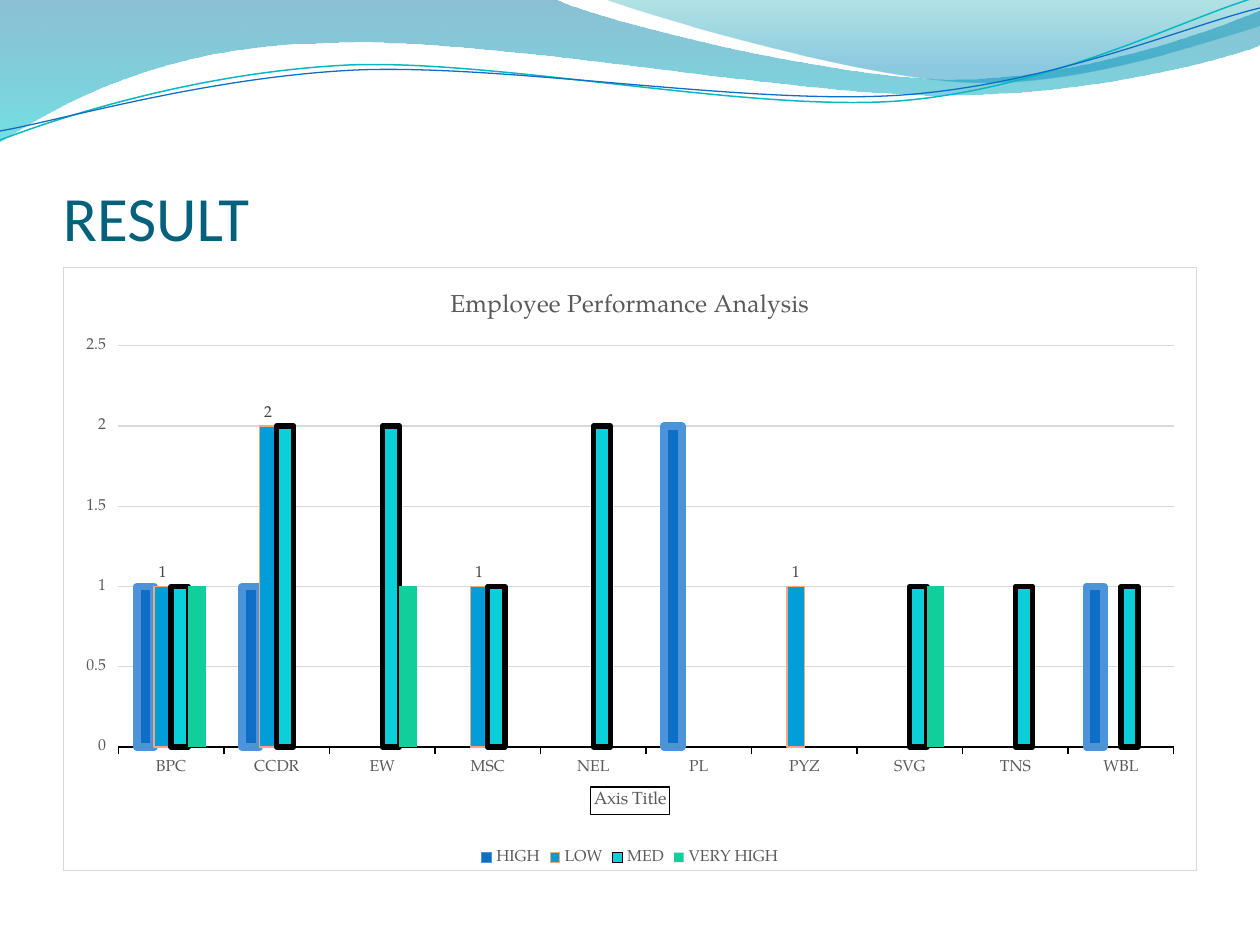
from dataclasses import dataclass
from typing import Optional

from lxml.etree import SubElement
from pptx import Presentation
from pptx.chart.data import CategoryChartData
from pptx.dml.color import RGBColor
from pptx.enum.chart import XL_CHART_TYPE as ChartType
from pptx.enum.chart import XL_LABEL_POSITION as LabelPos
from pptx.enum.chart import XL_LEGEND_POSITION as LegendPos
from pptx.enum.chart import XL_TICK_MARK as Tick
from pptx.enum.text import MSO_ANCHOR as Anchor
from pptx.oxml import parse_xml
from pptx.oxml.ns import nsdecls, qn
from pptx.util import Pt

EMU_PER_PX = 914400 / 126
SERIF = "TeX Gyre Pagella"
GREY = "595959"
PALE = "D9D9D9"
CATEGORIES = ["BPC", "CCDR", "EW", "MSC", "NEL", "PL", "PYZ", "SVG", "TNS", "WBL"]


@dataclass
class Stop:
    position: float
    color: str
    opacity: int


@dataclass
class Wave:
    segments: list[list[tuple[int, int]]]
    stops: Optional[list[Stop]] = None
    line: Optional[tuple[str, float]] = None


@dataclass
class Level:
    name: str
    values: list[Optional[int]]
    color: str
    line: Optional[tuple[str, float]] = None
    labelled: bool = False


WAVES = [
    Wave([[(0, 0)], [(554, -1)],
          [(600, 21), (837, 79), (955, 79)], [(1075, 79), (1207, 33), (1260, 11)],
          [(1261, 45)], [(1239, 55), (1096, 96), (940, 95)],
          [(784, 95), (481, 35), (324, 43)], [(163, 45), (58, 105), (-1, 142)]],
         stops=[Stop(0, "0074A1", 45), Stop(1, "00C6CF", 55)]),
    Wave([[(604, -1)], [(641, 14), (859, 78), (969, 82)],
          [(1079, 87), (1211, 40), (1260, 26)], [(1260, 0)]],
         stops=[Stop(0, "00A1A9", 30), Stop(0.8, "008BBF", 45)]),
    Wave([[(0, 140)], [(60, 117), (199, 72), (349, 65)],
          [(498, 59), (747, 112), (898, 101)], [(1050, 89), (1182, 19), (1257, -3)]],
         line=("0AB8BF", 0.85)),
    Wave([[(0, 131)], [(59, 121), (207, 77), (357, 70)],
          [(508, 64), (752, 106), (903, 95)], [(1053, 84), (1186, 26), (1260, 8)]],
         line=("0F6FC6", 0.75)),
]

LEVELS = [
    Level("HIGH", [1, 1, None, None, None, 2, None, None, None, 1],
          "0F6FC6", ("4D93D9", 4.5)),
    Level("LOW", [1, 2, None, 1, None, None, 1, None, None, None],
          "009DD9", ("F1A983", 0.75), labelled=True),
    Level("MED", [1, 2, 2, 1, 2, None, None, 1, 1, 1], "0BD0D9", ("000000", 3)),
    Level("VERY HIGH", [1, None, 1, None, None, None, None, 1, None, None], "10CF9B"),
]


def px(n: int) -> int:
    return round(n * EMU_PER_PX)


def rgb(color: str) -> RGBColor:
    return RGBColor.from_string(color)


def set_line(line, style: Optional[tuple[str, float]]) -> None:
    if style is None:
        line.fill.background()
        return
    color, width = style
    line.color.rgb = rgb(color)
    line.width = Pt(width)


def set_font(font, size: int, color: str, name: str = SERIF) -> None:
    font.size = Pt(size)
    font.name = name
    font.bold = False
    font.color.rgb = rgb(color)


def bend_lines(sp, segments: list[list[tuple[int, int]]]) -> None:
    lines = list(sp._element.iter(qn("a:lnTo")))
    for ln, segment in zip(lines, segments[1:]):
        if len(segment) == 3:
            ln.tag = qn("a:cubicBezTo")
            for i, (x, y) in enumerate(segment[:2]):
                pt = ln.makeelement(qn("a:pt"), {"x": str(px(x) - sp.left),
                                                 "y": str(px(y) - sp.top)})
                ln.insert(i, pt)


def draw_wave(slide, wave: Wave) -> None:
    anchors = [(px(x), px(y)) for *_, (x, y) in wave.segments]
    builder = slide.shapes.build_freeform(*anchors[0])
    builder.add_line_segments(anchors[1:], close=wave.stops is not None)
    sp = builder.convert_to_shape()
    bend_lines(sp, wave.segments)
    sp.shadow.inherit = False
    set_line(sp.line, wave.line)
    if wave.stops is None:
        sp.fill.background()
        return
    sp.fill.gradient()
    sp.fill.gradient_angle = 270
    for target, stop in zip(sp.fill.gradient_stops, wave.stops):
        target.position = stop.position
        target.color.rgb = rgb(stop.color)
    for clr, stop in zip(sp._element.iter(qn("a:srgbClr")), wave.stops):
        SubElement(clr, qn("a:alpha")).set("val", str(stop.opacity * 1000))


def draw_title(slide, text: str) -> None:
    tf = slide.shapes.add_textbox(px(63), px(97), px(1134), px(157)).text_frame
    tf.word_wrap = True
    tf.vertical_anchor = Anchor.BOTTOM
    tf.margin_left = tf.margin_right = tf.margin_bottom = 0
    tf.text = text
    set_font(tf.paragraphs[0].runs[0].font, 36, "04617B", "Calibri")


def set_chart_title(title, text: str, size: int) -> None:
    p = title.text_frame.paragraphs[0]
    p.text = text
    set_font(p.runs[0].font, size, GREY)


def frame_chart(chart) -> None:
    chart._chartSpace.find(qn("c:chart")).addnext(parse_xml(
        f'<c:spPr {nsdecls("c", "a")}>'
        '<a:solidFill><a:srgbClr val="FFFFFF"/></a:solidFill>'
        f'<a:ln w="{Pt(0.75)}"><a:solidFill><a:srgbClr val="{PALE}"/></a:solidFill></a:ln>'
        '</c:spPr>'))


def draw_chart(slide) -> None:
    data = CategoryChartData()
    data.categories = CATEGORIES
    for level in LEVELS:
        data.add_series(level.name, level.values)
    chart = slide.shapes.add_chart(ChartType.COLUMN_CLUSTERED, px(63), px(267),
                                   px(1134), px(604), data).chart
    set_font(chart.font, 10, "000000")
    frame_chart(chart)
    chart.has_title = True
    set_chart_title(chart.chart_title, "Employee Performance Analysis", 14)
    chart.has_legend = True
    chart.legend.position = LegendPos.BOTTOM
    chart.legend.include_in_layout = False
    set_font(chart.legend.font, 9, GREY)

    plot = chart.plots[0]
    plot.gap_width = 214
    plot.overlap = 0
    plot.vary_by_categories = False
    for series, level in zip(plot.series, LEVELS):
        series.format.fill.solid()
        series.format.fill.fore_color.rgb = rgb(level.color)
        set_line(series.format.line, level.line)
        if level.labelled:
            labels = series.data_labels
            labels.show_value = True
            labels.position = LabelPos.OUTSIDE_END
            set_font(labels.font, 9, "404040")

    cat, val = chart.category_axis, chart.value_axis
    for axis, line in ((cat, ("000000", 0.75)), (val, None)):
        axis.major_tick_mark = Tick.OUTSIDE
        axis.minor_tick_mark = Tick.NONE
        set_font(axis.tick_labels.font, 9, GREY)
        set_line(axis.format.line, line)
    set_line(val.major_gridlines.format.line, (PALE, 0.75))
    set_chart_title(cat.axis_title, "Axis Title", 10)
    set_line(cat.axis_title.format.line, ("000000", 0.75))


def main() -> None:
    prs = Presentation()
    prs.slide_width, prs.slide_height = px(1260), px(945)
    slide = prs.slides.add_slide(prs.slide_layouts[6])
    for wave in WAVES:
        draw_wave(slide, wave)
    draw_title(slide, "RESULT")
    draw_chart(slide)
    prs.save("out.pptx")


if __name__ == "__main__":
    main()
